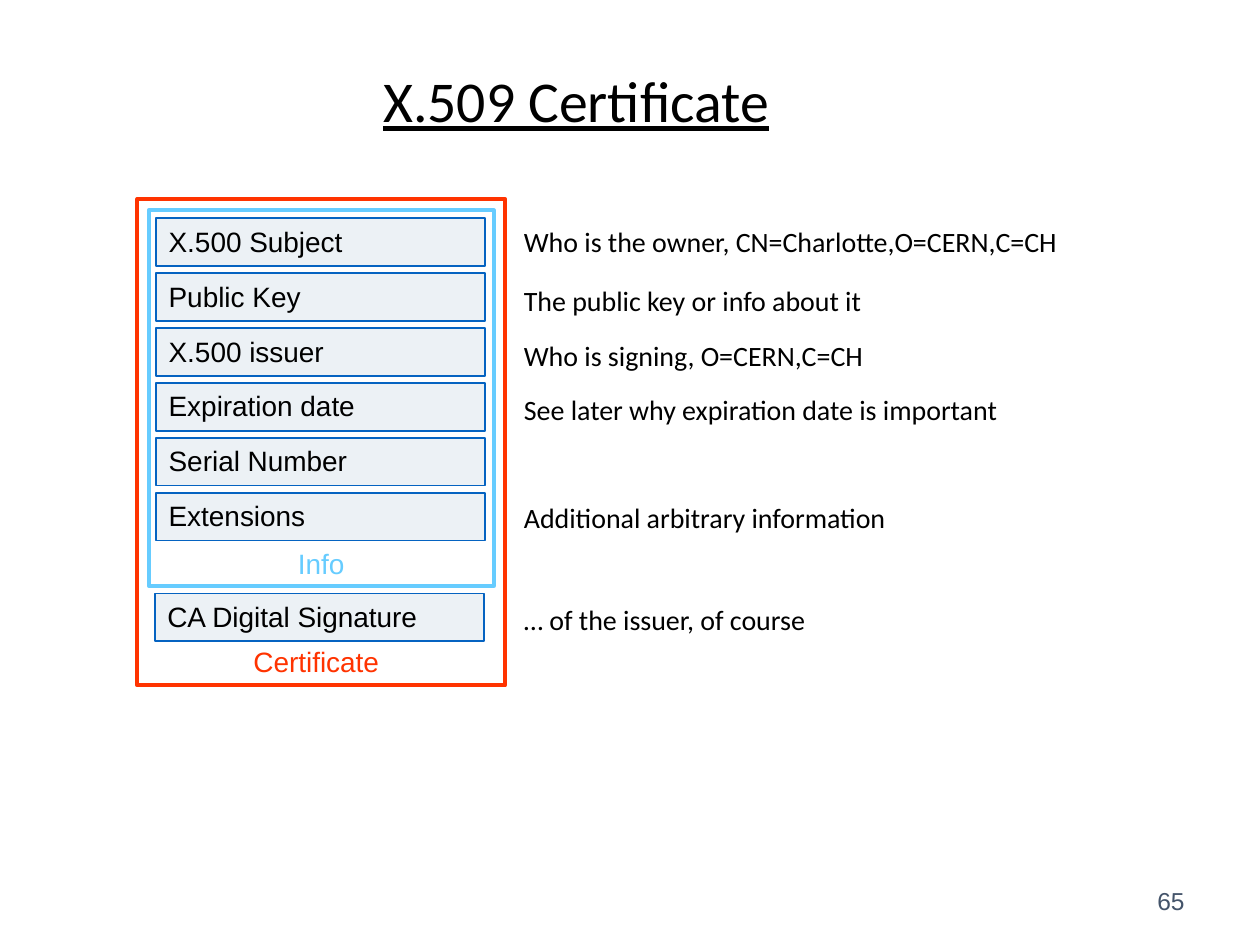
import pptx
import pptx.util
import pptx.dml.color
import pptx.enum.shapes
import pptx.enum.text

Inches, Pt = pptx.util.Inches, pptx.util.Pt
RGB = pptx.dml.color.RGBColor.from_string
PP_ALIGN = pptx.enum.text.PP_ALIGN
ANCHOR = pptx.enum.text.MSO_ANCHOR
RECT = pptx.enum.shapes.MSO_SHAPE.RECTANGLE
COLORS = {"text": "000000", "field": "ECF1F5", "border": "0563C1",
          "certificate": "FF3300", "info": "66CCFF", "number": "44546A"}

prs = pptx.Presentation()
prs.slide_width, prs.slide_height = Inches(10), Inches(7.5)
s = prs.slides.add_slide(prs.slide_layouts[5])


def write(sp, text, font="Arial", size=16, color="text",
          align=PP_ALIGN.LEFT, anchor=ANCHOR.TOP):
    tf = sp.text_frame
    tf.word_wrap = True
    tf.vertical_anchor = anchor
    p = tf.paragraphs[0]
    p.text = text
    p.alignment = align
    p.font.name, p.font.size = font, Pt(size)
    p.font.color.rgb = RGB(COLORS[color])
    return p


def add_rect(left, top, width, height, line, line_width, fill=None):
    sp = s.shapes.add_shape(RECT, Inches(left), Inches(top),
                            Inches(width), Inches(height))
    sp.shadow.inherit = False
    if fill:
        sp.fill.solid()
        sp.fill.fore_color.rgb = RGB(COLORS[fill])
    else:
        sp.fill.background()
    sp.line.color.rgb = RGB(COLORS[line])
    sp.line.width = Pt(line_width)
    return sp


# Title, indented from the left edge of its box
title = s.shapes.title
title.left, title.top = Inches(0.69), Inches(0.4)
title.width, title.height = Inches(8.62), Inches(0.85)
p = write(title, "X.509 Certificate", "Calibri", 33, anchor=ANCHOR.MIDDLE)
title.text_frame.auto_size = pptx.enum.text.MSO_AUTO_SIZE.NONE
title.text_frame.margin_left = Inches(2.35)
p.line_spacing = 0.9
p.font.underline = True

# Certificate fields, evenly stacked, then the signature
fields = ["X.500 Subject", "Public Key", "X.500 issuer",
          "Expiration date", "Serial Number", "Extensions"]
boxes = [(1.24, 1.73 + 0.436 * i, name) for i, name in enumerate(fields)]
boxes.append((1.23, 4.71, "CA Digital Signature"))
for left, top, name in boxes:
    write(add_rect(left, top, 2.61, 0.38, "border", 1, "field"), name)

# Frames and their captions
add_rect(1.09, 1.58, 2.92, 3.86, "certificate", 2.25)
add_rect(1.18, 1.67, 2.74, 2.98, "info", 2.25)
for left, top, name, color in [(1.79, 5.07, "Certificate", "certificate"),
                               (1.83, 4.29, "Info", "info")]:
    tb = s.shapes.add_textbox(Inches(left), Inches(top), Inches(1.44), Inches(0.37))
    write(tb, name, color=color, align=PP_ALIGN.CENTER)

# Explanations beside the fields
notes = [(1.73, "Who is the owner, CN=Charlotte,O=CERN,C=CH"),
         (2.2, "The public key or info about it"),
         (2.64, "Who is signing, O=CERN,C=CH"),
         (3.07, "See later why expiration date is important"),
         (3.92, "Additional arbitrary information"),
         (4.73, "… of the issuer, of course")]
for top, text in notes:
    tb = s.shapes.add_textbox(Inches(4.06), Inches(top), Inches(4.94), Inches(0.37))
    write(tb, text, "Calibri")

# Slide number
tb = s.shapes.add_textbox(Inches(7), Inches(6.95), Inches(2.5), Inches(0.4))
write(tb, "65", size=14, color="number", align=PP_ALIGN.RIGHT, anchor=ANCHOR.MIDDLE)

prs.save("out.pptx")
